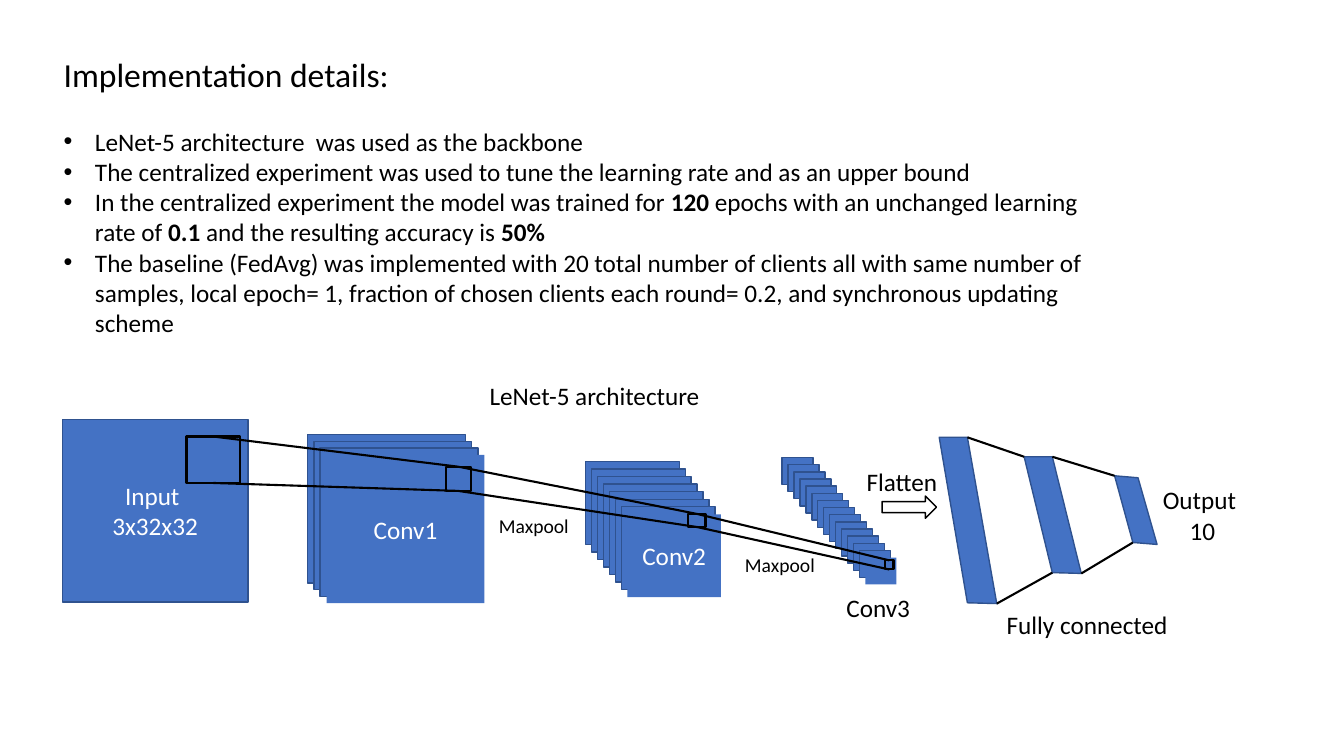
"""Slide on implementation details with a LeNet-5 diagram."""
from dataclasses import dataclass
from itertools import pairwise

from pptx import Presentation
from pptx import util as u
from pptx.dml.color import RGBColor as Rgb
from pptx.enum import shapes as es, text as et
from pptx.oxml.ns import qn
from lxml import etree


@dataclass(frozen=True)
class Theme:
    """Colours, font and type sizes."""
    font: str = "Calibri"
    blue: str = "4472C4"
    edge: str = "2F528F"
    ink: str = "000000"
    paper: str = "FFFFFF"
    head: int = 24
    base: int = 18
    small: int = 14


T = Theme()
TITLE = "Implementation details:"
POINTS = """LeNet-5 architecture  was used as the backbone
The centralized experiment was used to tune the learning rate and as an upper bound
In the centralized experiment the model was trained for *120* epochs with an \
unchanged learning rate of *0.1* and the resulting accuracy is *50%*
The baseline (FedAvg) was implemented with 20 total number of clients all with \
same number of samples, local epoch= 1, fraction of chosen clients each round= 0.2, \
and synchronous updating scheme"""

STACKS = [
    ((7.75, 10.95, 3.98, 3.74), 4, (0.16, 0.17), "Conv1"),
    ((14.76, 11.63, 2.36, 2.09), 8, (0.15, 0.19), "Conv2"),
    ((19.71, 11.53, 0.78, 0.68), 15, (0.15, 0.18), ""),
]
KERNELS = [
    (4.7, 11, 1.35, 1.17),
    (11.23, 11.76, 0.64, 0.61),
    (17.35, 12.95, 0.43, 0.33),
    (22.3, 14.12, 0.22, 0.23),
]
LAYERS = [
    [(23.67, 11.02), (24.38, 11.02), (25.12, 15.21), (24.38, 15.19)],
    [(25.81, 11.51), (26.52, 11.51), (27.25, 14.45), (26.52, 14.43)],
    [(28.09, 11.99), (28.68, 12.04), (29.16, 13.72), (28.55, 13.67)],
]
LABELS = [
    ("LeNet-5 architecture", (12.09, 9.45, 5.89, 1.02), {}),
    ("Maxpool", (12.32, 12.83, 2.51, 0.86), {"size": T.small}),
    ("Maxpool", (18.52, 13.82, 2.41, 0.86), {"size": T.small}),
    ("Conv3", (21.08, 14.81, 2.29, 1.02), {}),
    ("Flatten", (21.59, 11.63, 2.36, 1.02), {}),
    ("Fully connected", (25.12, 15.24, 4.98, 1.02), {}),
    ("Output \n10", (29.03, 12.09, 2.54, 1.8), {"align": et.PP_ALIGN.CENTER}),
]


def cms(nums):
    """Turn numbers into lengths."""
    return [u.Cm(n) for n in nums]


def write(frame, text, size=T.base, color=T.ink, align=et.PP_ALIGN.LEFT,
          anchor=et.MSO_ANCHOR.TOP, bullet=False):
    """Fill a frame, one paragraph a line, with bold between asterisks."""
    frame.word_wrap = True
    frame.auto_size = et.MSO_AUTO_SIZE.NONE
    frame.vertical_anchor = anchor
    for i, line in enumerate(text.split("\n")):
        para = frame.add_paragraph() if i else frame.paragraphs[0]
        para.alignment = align
        para.space_before = u.Pt(0)
        if bullet:
            props = para._p.get_or_add_pPr()
            props.set("marL", str(u.Cm(0.79)))
            props.set("indent", str(-u.Cm(0.79)))
            etree.SubElement(props, qn("a:buFont")).set("typeface", "Arial")
            etree.SubElement(props, qn("a:buChar")).set("char", "•")
        for j, part in enumerate(text for text in line.split("*")):
            if part:
                run = para.add_run()
                run.text = part
                run.font.name = T.font
                run.font.size = u.Pt(size)
                run.font.bold = j % 2 == 1
                run.font.color.rgb = Rgb.from_string(color)


def paint(shape, fill=T.blue, line=T.edge, width=1):
    """Set fill and outline without a shadow."""
    shape.shadow.inherit = False
    shape.fill.solid()
    shape.fill.fore_color.rgb = Rgb.from_string(fill)
    if line:
        shape.line.color.rgb = Rgb.from_string(line)
        shape.line.width = u.Pt(width)
    else:
        shape.line.fill.background()


def block(slide, box, text="", kind=es.MSO_SHAPE.RECTANGLE, **look):
    """Add a preset shape with centred white text."""
    shape = slide.shapes.add_shape(kind, *cms(box))
    paint(shape, **look)
    if text:
        write(shape.text_frame, text, color=T.paper,
              align=et.PP_ALIGN.CENTER, anchor=et.MSO_ANCHOR.MIDDLE)


def stack(slide, box, count, step, text):
    """Add overlapping feature maps, the front one without outline."""
    x, y, w, h = box
    for i in range(count):
        front = i == count - 1
        block(slide, (x + i * step[0], y + i * step[1], w, h),
              text if front else "", line=None if front else T.edge)


def layer(slide, points):
    """Add a slanted dense layer."""
    first, *rest = [cms(p) for p in points]
    form = slide.shapes.build_freeform(*first)
    form.add_line_segments(rest, close=True)
    paint(form.convert_to_shape())


def link(slide, start, end):
    """Draw a black line between two points."""
    line = slide.shapes.add_connector(
        es.MSO_CONNECTOR.STRAIGHT, *cms(start), *cms(end))
    line.line.color.rgb = Rgb.from_string(T.ink)
    line.line.width = u.Pt(1.5)
    etree.SubElement(line._element.spPr, qn("a:effectLst"))


def label(slide, text, box, **style):
    """Add a text box."""
    write(slide.shapes.add_textbox(*cms(box)).text_frame, text, **style)


def place(holder, box, text, **style):
    """Move a placeholder and fill it."""
    holder.left, holder.top, holder.width, holder.height = cms(box)
    write(holder.text_frame, text, **style)


def main():
    """Build and save the slide."""
    deck = Presentation()
    deck.slide_width, deck.slide_height = cms((33.87, 19.05))
    slide = deck.slides.add_slide(deck.slide_layouts[1])
    place(slide.shapes.title, (1.35, 1.24, 26.62, 1.27), TITLE, size=T.head)
    place(slide.placeholders[1], (1.35, 3.05, 26.62, 5.64), POINTS, bullet=True)

    block(slide, (1.57, 10.57, 4.68, 4.6), "Input \n3x32x32")
    for maps in STACKS:
        stack(slide, *maps)
    for box in KERNELS:
        block(slide, box, line=T.ink, width=1.5)
    for (x, y, w, h), (nx, ny, nw, nh) in pairwise(KERNELS):
        link(slide, (x + w / 2, y), (nx + nw / 2, ny))
        link(slide, (x + w / 2, y + h), (nx + nw / 2, ny + nh))

    for points in LAYERS:
        layer(slide, points)
    for near, far in pairwise(LAYERS):
        link(slide, near[1], far[0])
        link(slide, near[2], far[3])
    block(slide, (22.23, 12.5, 1.37, 0.56), kind=es.MSO_SHAPE.RIGHT_ARROW,
          fill=T.paper, line=T.ink)
    for text, box, style in LABELS:
        label(slide, text, box, **style)
    deck.save("out.pptx")


if __name__ == "__main__":
    main()
